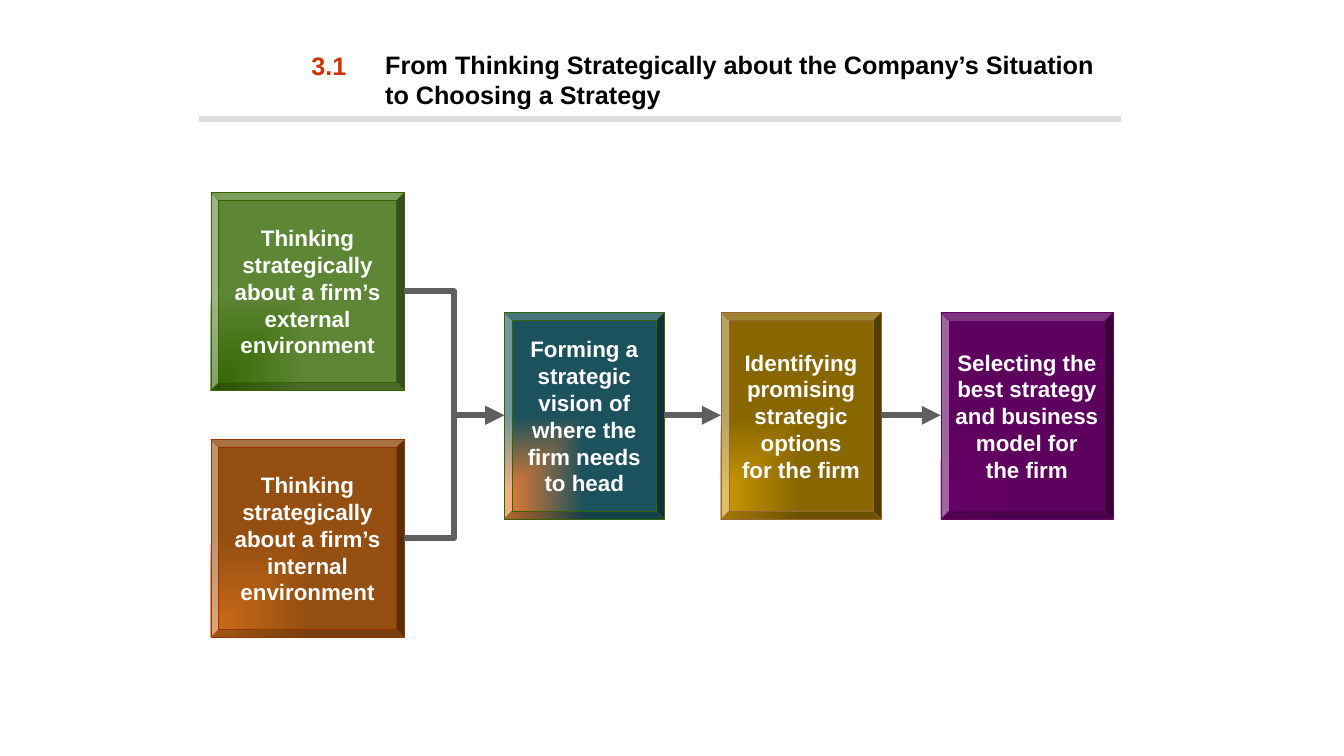
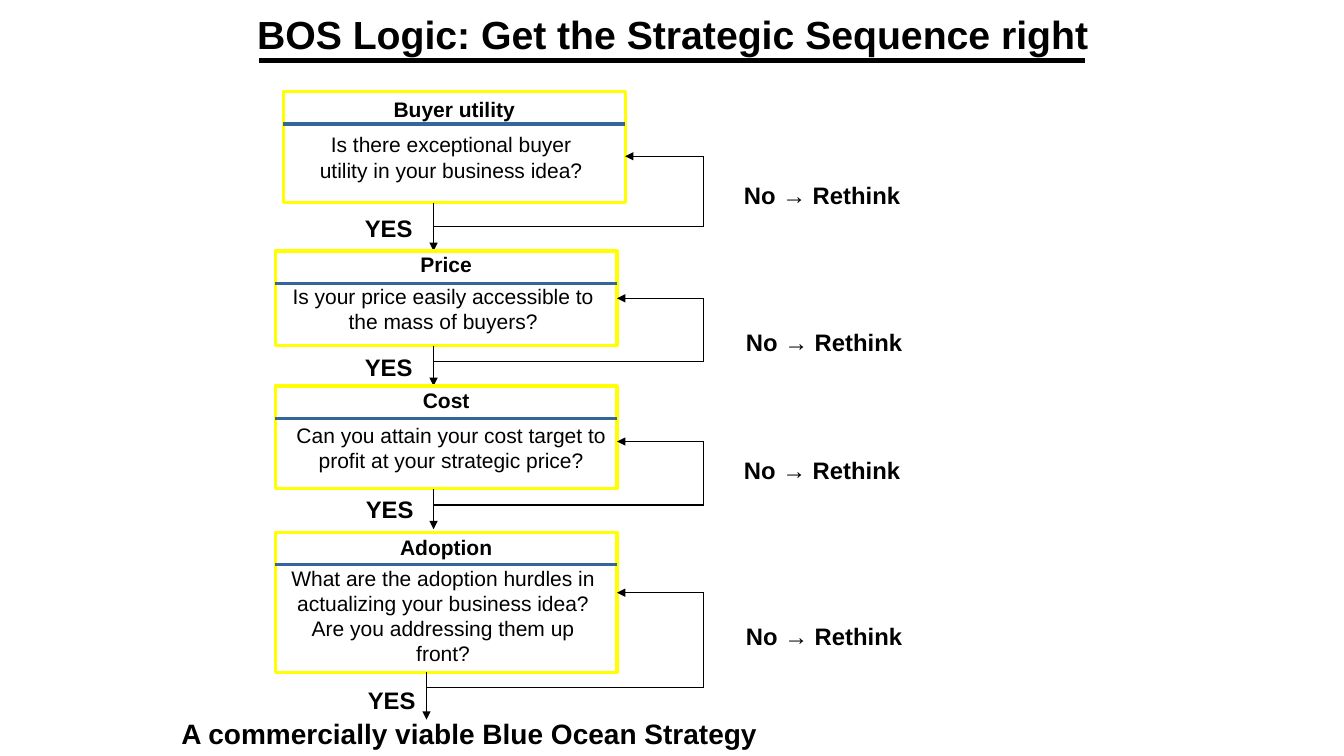
from lxml.etree import SubElement
from pptx import Presentation
from pptx.dml.color import RGBColor
from pptx.enum.shapes import MSO_CONNECTOR, MSO_SHAPE
from pptx.enum.text import MSO_ANCHOR, MSO_AUTO_SIZE, PP_ALIGN
from pptx.oxml.ns import qn
from pptx.util import Pt

PX = 9144  # 100 px to the inch
FONT = "Arial"
BLACK = RGBColor(0x00, 0x00, 0x00)
WHITE = RGBColor(0xFF, 0xFF, 0xFF)
RED = RGBColor(0xCC, 0x33, 0x00)
PALE_GREY = RGBColor(0xDD, 0xDD, 0xDD)
DARK_GREY = RGBColor(0x5F, 0x5F, 0x5F)
YELLOW = RGBColor(0xFF, 0xFF, 0x00)
BLUE = RGBColor(0x33, 0x66, 0x99)
DARK_GREEN = RGBColor(0x33, 0x66, 0x00)
GREEN = RGBColor(0x5D, 0x86, 0x35)
ORANGE = RGBColor(0xCC, 0x6C, 0x18)
BROWN = RGBColor(0x95, 0x4F, 0x11)
RUST = RGBColor(0x99, 0x33, 0x00)
CORAL = RGBColor(0xED, 0x7D, 0x31)
TEAL = RGBColor(0x1B, 0x52, 0x5D)
GOLD = RGBColor(0xCC, 0x99, 0x00)
OLIVE = RGBColor(0x88, 0x66, 0x00)
TAN = RGBColor(0x99, 0x66, 0x33)
PURPLE = RGBColor(0x66, 0x00, 0x66)
DEEP_PURPLE = RGBColor(0x5E, 0x00, 0x5E)

# Stages: text, box, bevel depth, corner colour, main colour, outline
STAGES = [
    ("Thinking\nstrategically\nabout a firm’s\nexternal\nenvironment",
     (209, 191, 192, 196), 0.04, DARK_GREEN, GREEN, DARK_GREEN),
    ("Thinking\nstrategically\nabout a firm’s\ninternal\nenvironment",
     (209, 436, 192, 196), 0.04, ORANGE, BROWN, RUST),
    ("Forming a\nstrategic\nvision of\nwhere the\nfirm needs\vto head",
     (500, 310, 159, 205), 0.05, CORAL, TEAL, DARK_GREEN),
    ("Identifying\npromising\nstrategic\noptions\nfor the firm",
     (715, 310, 159, 205), 0.05, GOLD, OLIVE, TAN),
    ("Selecting the\nbest strategy\nand business\nmodel for\vthe firm",
     (933, 310, 171, 205), 0.05, PURPLE, DEEP_PURPLE, PURPLE),
]
STAGE_LINKS = [(0, 2), (1, 2), (2, 3), (3, 4)]

# Tests in sequence; the arrow leaves the box at the bottom, "no" loops back to its side
TESTS = [
    {"name": "Buyer utility", "name_top": 91, "box": (281, 91, 339, 110),
     "question": "Is there exceptional buyer\nutility in your business idea?",
     "question_at": (281, 126), "arrow_x": 430, "arrow_end": 249,
     "branch": 225, "back": 155, "yes_at": (352, 207), "no_at": (728, 174)},
    {"name": "Price", "name_top": 245, "box": (273, 249, 339, 94),
     "question": "Is your price easily accessible to the mass of buyers?",
     "question_at": (273, 276), "arrow_x": 430, "arrow_end": 383,
     "branch": 359, "back": 296, "yes_at": (352, 345), "no_at": (730, 320)},
    {"name": "Cost", "name_top": 379, "box": (273, 383, 339, 102),
     "question": "Can you attain your cost target to profit at your strategic price?",
     "question_at": (281, 414), "arrow_x": 430, "arrow_end": 525,
     "branch": 501, "back": 438, "yes_at": (353, 486), "no_at": (728, 447)},
    {"name": "Adoption", "name_top": 525, "box": (273, 528, 339, 139),
     "question": "What are the adoption hurdles in actualizing your business idea?\n"
                 "Are you addressing them up front?",
     "question_at": (273, 556), "arrow_x": 423, "arrow_end": 714,
     "branch": 682, "back": 588, "yes_at": (355, 675), "no_at": (730, 612)},
]
LOOP_X = 698
RULE_DROP = 32
QUESTION_WIDTH = 333


def px(*lengths):
    return [length * PX for length in lengths]


def write(holder, text, size, color=BLACK, bold=True, align=PP_ALIGN.LEFT,
          anchor=MSO_ANCHOR.TOP, wrap=True):
    """Fill a shape, text box or placeholder; each line is a paragraph."""
    frame = holder.text_frame
    frame.text = text
    frame.word_wrap = wrap
    frame.auto_size = MSO_AUTO_SIZE.NONE
    frame.vertical_anchor = anchor
    for paragraph in frame.paragraphs:
        paragraph.alignment = align
        font = paragraph.font
        font.name, font.size, font.bold = FONT, Pt(size), bold
        font.color.rgb = color


def add_label(slide, text, box, size, **style):
    write(slide.shapes.add_textbox(*px(*box)), text, size, **style)


def add_line(slide, start, end, color=BLACK, width=0.75, arrow=False,
             kind=MSO_CONNECTOR.STRAIGHT):
    connector = slide.shapes.add_connector(kind, *px(*start, *end))
    connector.line.color.rgb = color
    connector.line.width = Pt(width)
    if arrow:
        SubElement(connector.line._get_or_add_ln(), qn("a:tailEnd"), type="triangle")
    SubElement(connector._element.spPr, qn("a:effectLst"))


def add_titled_slide(deck, title, box, size, rule, rule_color, rule_width, wrap=True):
    slide = deck.slides.add_slide(deck.slide_layouts[5])
    heading = slide.shapes.title
    heading.left, heading.top, heading.width, heading.height = px(*box)
    write(heading, title, size, wrap=wrap)
    left, right, y = rule
    add_line(slide, (left, y), (right, y), rule_color, rule_width)
    return slide


def add_stage(slide, text, box, depth, corner, main, outline):
    stage = slide.shapes.add_shape(MSO_SHAPE.BEVEL, *px(*box))
    stage.shadow.inherit = False
    stage.adjustments[0] = depth
    stage.fill.gradient()
    for stop, color in zip(stage.fill.gradient_stops, (corner, main)):
        stop.color.rgb = color
    # Gradient spreads from the lower left corner
    gradient = stage._element.spPr.find(qn("a:gradFill"))
    gradient.remove(gradient.find(qn("a:lin")))
    spread = SubElement(gradient, qn("a:path"), path="rect")
    SubElement(spread, qn("a:fillToRect"), t="100000", r="100000")
    stage.line.color.rgb = outline
    stage.line.width = Pt(0.25)
    write(stage, text, 16, color=WHITE, align=PP_ALIGN.CENTER,
          anchor=MSO_ANCHOR.MIDDLE, wrap=False)


def add_test(slide, test):
    left, top, width, height = test["box"]
    right, bottom, rule_y = left + width, top + height, top + RULE_DROP
    # Box with name and question
    frame = slide.shapes.add_shape(MSO_SHAPE.RECTANGLE, *px(*test["box"]))
    frame.shadow.inherit = False
    frame.fill.background()
    frame.line.color.rgb = YELLOW
    frame.line.width = Pt(2.25)
    add_line(slide, (left, rule_y), (right, rule_y), BLUE, 2.25)
    add_label(slide, test["name"], (left, test["name_top"], width, 35), 15,
              align=PP_ALIGN.CENTER)
    question_left, question_top = test["question_at"]
    add_label(slide, test["question"],
              (question_left, question_top, QUESTION_WIDTH, bottom - question_top), 15,
              bold=False, align=PP_ALIGN.CENTER)
    # Way on, and loop back
    x, branch, back = test["arrow_x"], test["branch"], test["back"]
    add_line(slide, (x, bottom), (x, test["arrow_end"]), arrow=True)
    loop = [(x, branch), (LOOP_X, branch), (LOOP_X, back), (right, back)]
    for start, end in zip(loop, loop[1:]):
        add_line(slide, start, end, arrow=end == loop[-1])
    add_label(slide, "YES", (*test["yes_at"], 68, 39), 17, wrap=False)
    add_label(slide, "No → Rethink", (*test["no_at"], 176, 39), 17, wrap=False)


def build_stages(deck):
    slide = add_titled_slide(
        deck, "From Thinking Strategically about the Company’s Situation to Choosing a Strategy",
        (372, 44, 738, 70), 18, (197, 1112, 118), PALE_GREY, 4.5)
    add_label(slide, "3.1", (299, 45, 82, 40), 18, color=RED)
    for stage in STAGES:
        add_stage(slide, *stage)
    for source, target in STAGE_LINKS:
        left, top, width, height = STAGES[source][1]
        end_left, end_top, _, end_height = STAGES[target][1]
        start = (left + width, top + height // 2)
        end = (end_left, end_top + end_height // 2)
        level = start[1] == end[1]
        add_line(slide, start, end, DARK_GREY, 4.5, arrow=True,
                 kind=MSO_CONNECTOR.STRAIGHT if level else MSO_CONNECTOR.ELBOW)


def build_sequence(deck):
    slide = add_titled_slide(deck, "BOS Logic: Get the Strategic Sequence right",
                             (245, 5, 855, 57), 28, (257, 1076, 60), BLACK, 3, wrap=False)
    for test in TESTS:
        add_test(slide, test)
    add_label(slide, "A commercially viable Blue Ocean Strategy", (170, 706, 595, 44), 20,
              wrap=False)


def main():
    deck = Presentation()
    deck.slide_width, deck.slide_height = px(1333, 750)
    build_stages(deck)
    build_sequence(deck)
    deck.save("out.pptx")


if __name__ == "__main__":
    main()
